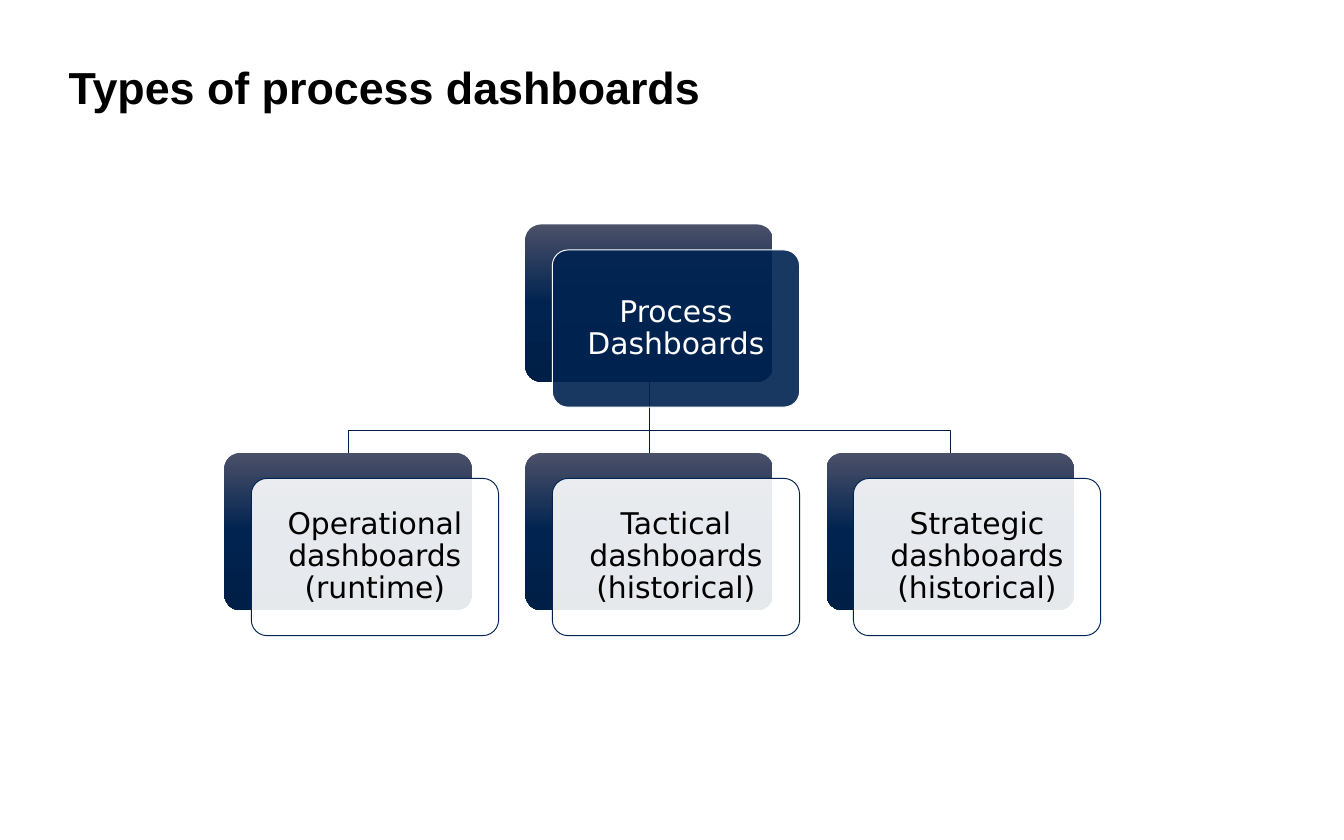
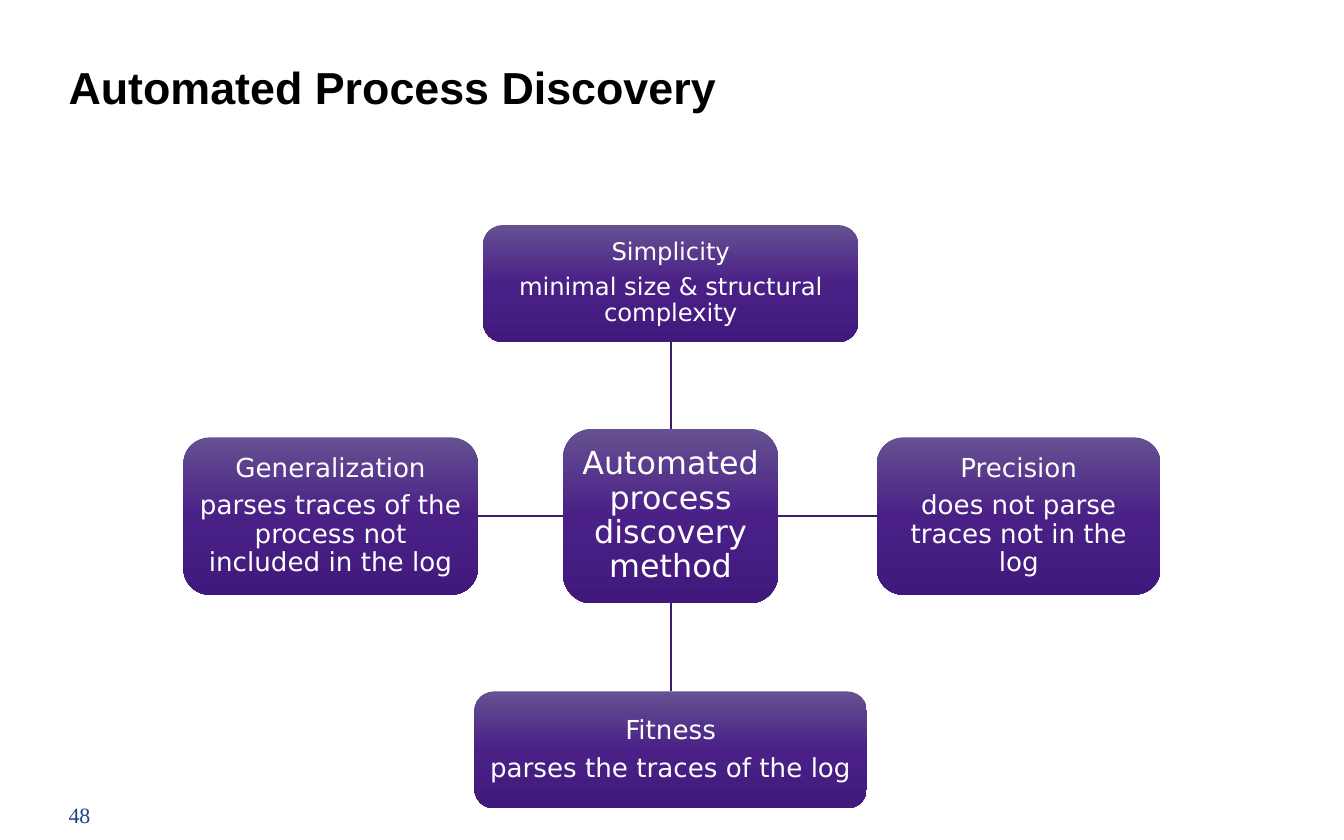
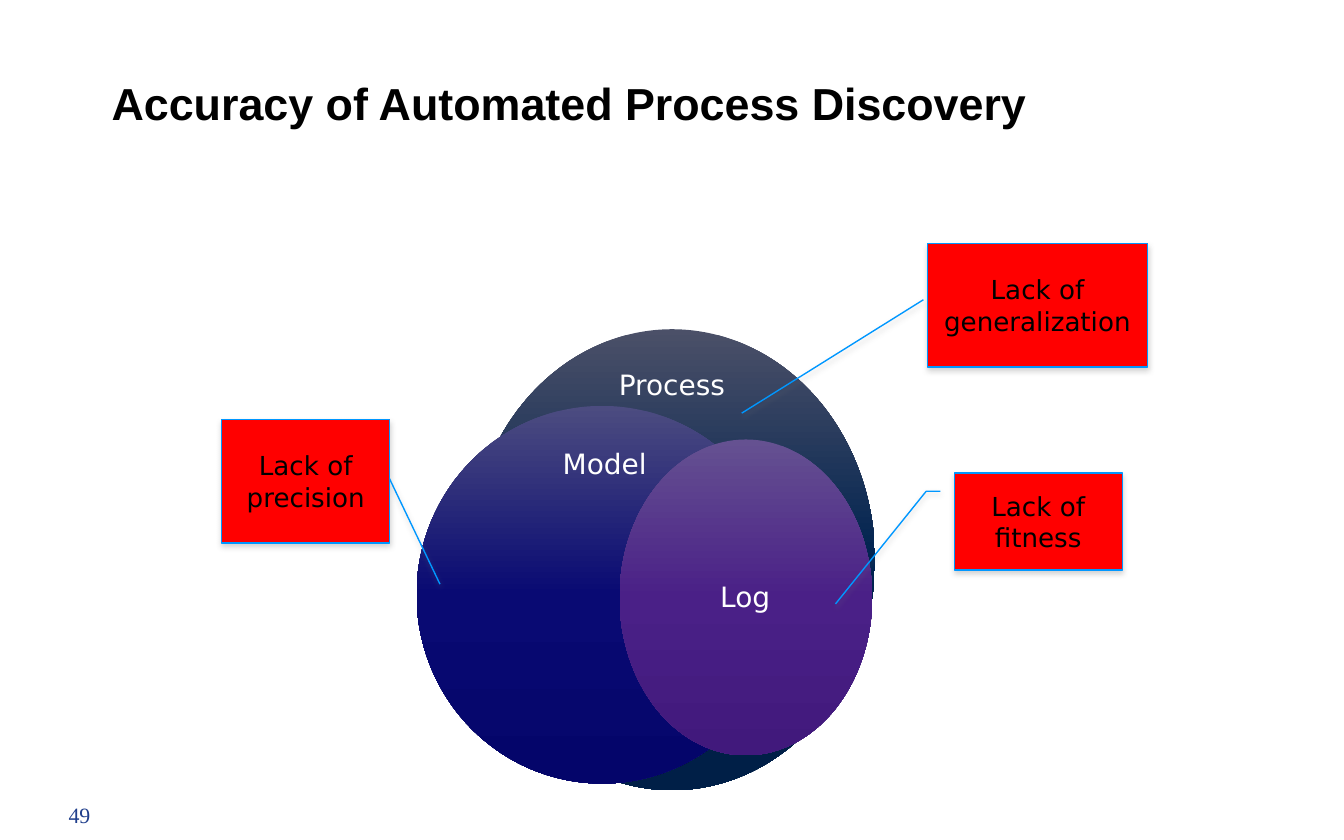
from copy import deepcopy

from lxml.etree import SubElement
from pptx import Presentation
from pptx.dml.color import RGBColor
from pptx.enum.shapes import MSO_CONNECTOR, MSO_SHAPE
from pptx.enum.text import MSO_ANCHOR, PP_ALIGN
from pptx.oxml.ns import qn
from pptx.util import Inches, Pt

COLORS = {
    "black": "000000",
    "white": "FFFFFF",
    "navy": "002350",
    "link": "001C40",
    "spoke": "3C1E68",
    "red": "FF0000",
    "sky": "0097FF",
    "page": "203F8C",
    "shade": "808080",
}
FADES = {
    "navy": ("4B5068", "002350", "001F47"),
    "blue": ("4C4C80", "090A73", "04056A"),
    "purple": ("655191", "4A2087", "41197C"),
}
BODY, HEAD, FOOT = "DejaVu Sans", "Arial", "Times New Roman"
TITLE_BOX = (0.51, 0.15, 7.48, 0.99)
PAGE_BOX = (0.51, 5.92, 0.98, 0.28)

# Slide 1: tree of cards, each with a shifted label in front
ROOT = "Process\nDashboards"
KINDS = [
    "Operational dashboards\n(runtime)",
    "Tactical dashboards\n(historical)",
    "Strategic dashboards\n(historical)",
]
CARD = (1.84, 1.17)
SHIFT = (0.2, 0.19)
ROOT_TOP, KIND_TOP, BEND = 1.67, 3.37, 3.2
KIND_LEFT, KIND_STEP = 1.67, 2.24

# Slide 2: hub and qualities: centre, size, font size, text
HUB = ((4.99, 3.84), (1.6, 1.3), 17, ["Automated process discovery method"])
QUALITIES = [
    ((4.99, 2.11), (2.79, 0.87), 13,
     ["Simplicity", "minimal size & structural complexity"]),
    ((7.58, 3.84), (2.11, 1.17), 14,
     ["Precision", "does not parse traces not in the log"]),
    ((4.99, 5.58), (2.92, 0.87), 14,
     ["Fitness", "parses the traces of the log"]),
    ((2.46, 3.84), (2.19, 1.17), 14,
     ["Generalization", "parses traces of the process not included in the log"]),
]

# Slide 3: ellipse, fade, label, label box
SETS = [
    ((3.49, 2.45, 3.02, 3.43), "navy", "Process", (4.47, 2.62, 1.06, 0.51)),
    ((3.1, 3.02, 2.76, 2.81), "blue", "Model", (3.86, 3.2, 1.28, 0.53)),
    ((4.61, 3.27, 1.88, 2.35), "purple", "Log", (4.88, 3.86, 1.33, 1.18)),
]
# Box, preset, pointer as fractions of the box (y, x, ...), text
CALLOUTS = [
    ((7.1, 3.52, 1.25, 0.72), MSO_SHAPE.LINE_CALLOUT_2,
     (0.188, -0.083, 0.188, -0.167, 1.352, -0.707), "Lack of fitness"),
    ((1.65, 3.12, 1.25, 0.92), MSO_SHAPE.LINE_CALLOUT_1,
     (0.478, 0.998, 1.333, 1.299), "Lack of precision"),
    ((6.9, 1.81, 1.64, 0.92), MSO_SHAPE.LINE_CALLOUT_1,
     (0.457, -0.018, 1.374, -0.842), "Lack of generalization"),
]


def rgb(name):
    return RGBColor.from_string(COLORS[name])


def write(shape, texts, size, color="white", font=BODY, bold=False,
          align=PP_ALIGN.CENTER, inset=(0, 0), tight=True):
    """Fill a shape with paragraphs; tight text has 90% lines and a gap after."""
    frame = shape.text_frame
    frame.word_wrap = True
    frame.vertical_anchor = MSO_ANCHOR.MIDDLE
    frame.margin_left = frame.margin_right = Inches(inset[0])
    frame.margin_top = frame.margin_bottom = Inches(inset[1])
    for i, text in enumerate(texts):
        para = frame.add_paragraph() if i else frame.paragraphs[0]
        para.text = text
        para.alignment = align
        if tight:
            para.line_spacing = 0.9
            para.space_after = Pt(size * 0.35)
        para.font.size = Pt(size)
        para.font.name = font
        para.font.bold = bold
        para.font.color.rgb = rgb(color)


def label(slide, box, texts, size, **style):
    write(slide.shapes.add_textbox(*map(Inches, box)), texts, size, **style)


def start(deck, title, page=None, box=TITLE_BOX):
    slide = deck.slides.add_slide(deck.slide_layouts[6])
    left = {"align": PP_ALIGN.LEFT, "tight": False}
    label(slide, box, [title], 24, color="black", font=HEAD, bold=True, **left)
    if page:
        label(slide, PAGE_BOX, [page], 11.7, color="page", font=FOOT,
              inset=(0, 0.05), **left)
    return slide


def draw(slide, kind, box, fill=None, line=None, width=0.5, fade=None):
    shape = slide.shapes.add_shape(kind, *map(Inches, box))
    shape.shadow.inherit = False
    if fade:
        shape.fill.gradient()
        shape.fill.gradient_angle = 270
        stops = shape._element.xpath(".//a:gsLst")[0]
        stops.append(deepcopy(stops[0]))
        for i, stop in enumerate(shape.fill.gradient_stops):
            stop.position = i / 2
            stop.color.rgb = RGBColor.from_string(FADES[fade][i])
    else:
        shape.fill.solid()
        shape.fill.fore_color.rgb = rgb(fill)
    if line:
        shape.line.color.rgb = rgb(line)
        shape.line.width = Pt(width)
    else:
        shape.line.fill.background()
    return shape


def join(slide, points, color, width):
    """Draw a straight connector, or an open outline when the line bends."""
    spots = [(Inches(x), Inches(y)) for x, y in points]
    if len(spots) == 2:
        link = slide.shapes.add_connector(
            MSO_CONNECTOR.STRAIGHT, *spots[0], *spots[1])
    else:
        path = slide.shapes.build_freeform(*spots[0])
        path.add_line_segments(spots[1:], close=False)
        link = path.convert_to_shape()
        link.fill.background()
    link.line.color.rgb = rgb(color)
    link.line.width = Pt(width)
    SubElement(link._element.spPr, qn("a:effectLst"))


def card(slide, left, top, text, fill, line, color):
    back = draw(slide, MSO_SHAPE.ROUNDED_RECTANGLE, (left, top, *CARD),
                fade="navy")
    front = draw(slide, MSO_SHAPE.ROUNDED_RECTANGLE,
                 (left + SHIFT[0], top + SHIFT[1], *CARD), fill, line)
    for shape in (back, front):
        shape.adjustments[0] = 0.1
    tint = front._element.xpath("./p:spPr/a:solidFill/a:srgbClr")[0]
    SubElement(tint, qn("a:alpha"), val="90000")
    write(front, [text], 16, color, inset=(0.07, 0.07))


def types(deck):
    slide = start(deck, "Types of process dashboards")
    lefts = [KIND_LEFT + i * KIND_STEP for i in range(len(KINDS))]
    stem, foot = lefts[1] + CARD[0] / 2, ROOT_TOP + CARD[1]
    for left in reversed(lefts):
        mid = left + CARD[0] / 2
        bend = [(stem, BEND), (mid, BEND)] if mid != stem else []
        join(slide, [(stem, foot), *bend, (mid, KIND_TOP)], "link", 0.5)
    card(slide, lefts[1], ROOT_TOP, ROOT, "navy", "white", "white")
    for left, text in zip(lefts, KINDS):
        card(slide, left, KIND_TOP, text, "white", "navy", "black")


def node(slide, spot, size, points, texts, inset):
    box = [c - s / 2 for c, s in zip(spot, size)] + list(size)
    shape = draw(slide, MSO_SHAPE.ROUNDED_RECTANGLE, box, fade="purple")
    write(shape, texts, points, inset=(inset, inset))


def edge(spot, size, toward):
    """Point on a node's side that faces another node in line with it."""
    return [c + ((t > c) - (t < c)) * s / 2
            for c, s, t in zip(spot, size, toward)]


def discovery(deck):
    slide = start(deck, "Automated Process Discovery", "48")
    node(slide, *HUB, 0.05)
    for item in QUALITIES:
        ends = [edge(*HUB[:2], item[0]), edge(*item[:2], HUB[0])]
        join(slide, ends, "spoke", 1)
        node(slide, *item, 0.04)


def cast(shape):
    """Give a shape a soft shadow below it."""
    effects = shape._element.xpath("./p:spPr/a:effectLst")[0]
    outer = SubElement(effects, qn("a:outerShdw"), blurRad=str(Pt(3.1)),
                       dist=str(Pt(1.8)), dir="5400000", rotWithShape="0")
    tint = SubElement(outer, qn("a:srgbClr"), val=COLORS["shade"])
    SubElement(tint, qn("a:alpha"), val="35000")


def accuracy(deck):
    slide = start(deck, "Accuracy of Automated Process Discovery", "49",
                  (0.83, 0.24, 7.08, 1.04))
    for box, fade, text, place in SETS:
        draw(slide, MSO_SHAPE.OVAL, box, fade=fade)
        label(slide, place, [text], 15, inset=(0.12, 0.12))
    for box, kind, pointer, text in CALLOUTS:
        shape = draw(slide, kind, box, "red", "sky", 0.75)
        for i, value in enumerate(pointer):
            shape.adjustments[i] = value
        cast(shape)
        write(shape, [text], 14, "black", inset=(0.1, 0.05), tight=False)


def main():
    deck = Presentation()
    deck.slide_width, deck.slide_height = Inches(10), Inches(6.25)
    types(deck)
    discovery(deck)
    accuracy(deck)
    deck.save("out.pptx")


if __name__ == "__main__":
    main()
